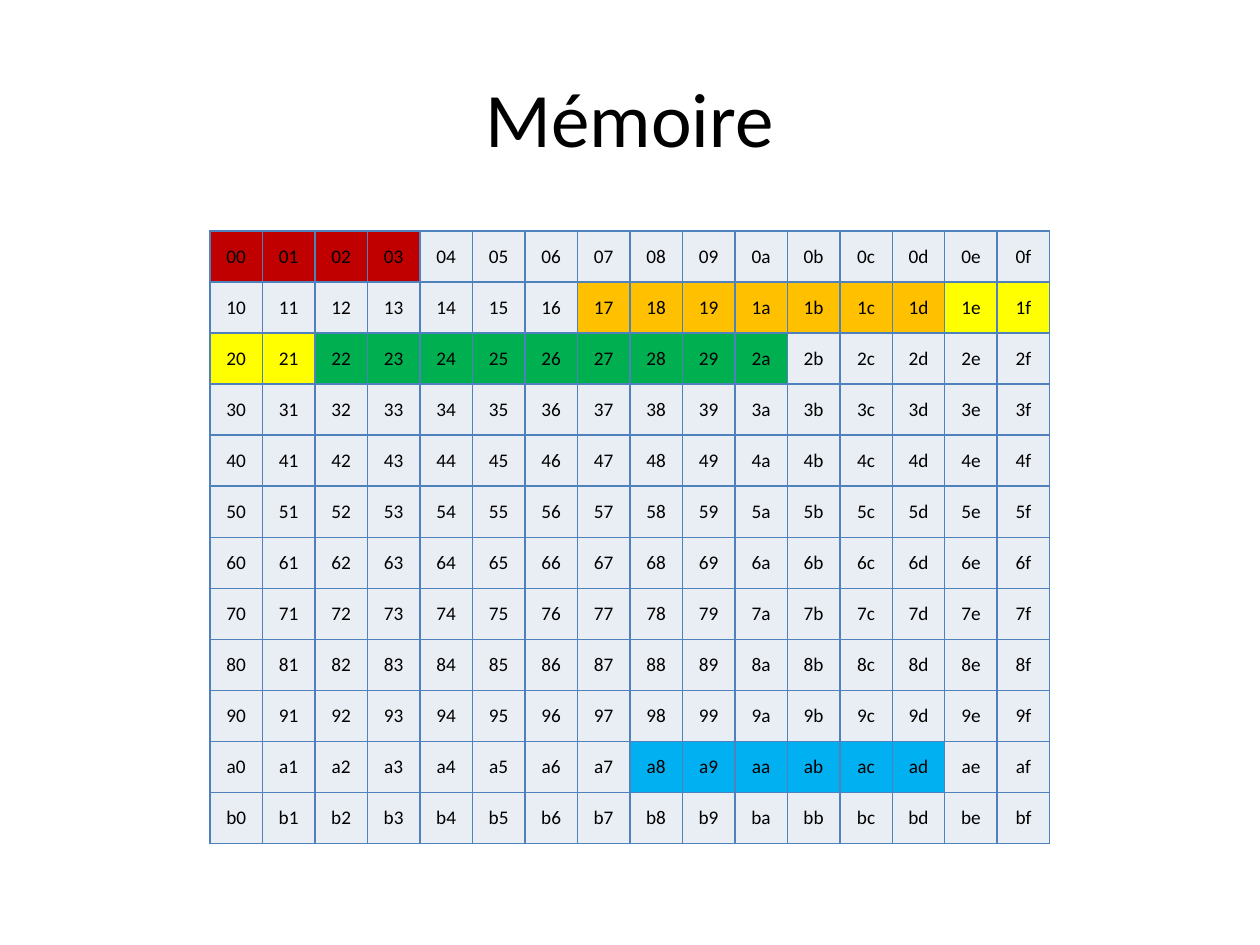
from dataclasses import dataclass

from lxml.etree import SubElement
from pptx import Presentation
from pptx.dml.color import RGBColor
from pptx.enum.text import MSO_ANCHOR as Anchor, PP_ALIGN as Align
from pptx.oxml.ns import qn
from pptx.util import Emu, Pt

EMU_PER_PX = 914400 / 126
FONT = "Calibri"
COLUMNS, ROWS = 16, 12
COLORS = {
    "text": "000000",
    "border": "4F81BD",
    "free": "E9EDF4",
    "red": "C00000",
    "orange": "FFC000",
    "yellow": "FFFF00",
    "green": "00B050",
    "blue": "00B0F0",
}


@dataclass(frozen=True)
class Box:
    left: int
    top: int
    width: int
    height: int

    def emu(self) -> tuple[Emu, ...]:
        return tuple(map(px, (self.left, self.top, self.width, self.height)))


@dataclass(frozen=True)
class Block:
    first: int
    last: int
    color: str


BLOCKS = (
    Block(0x00, 0x03, "red"),
    Block(0x17, 0x1D, "orange"),
    Block(0x1E, 0x21, "yellow"),
    Block(0x22, 0x2A, "green"),
    Block(0xA8, 0xAD, "blue"),
)


def px(length: float) -> Emu:
    return Emu(round(length * EMU_PER_PX))


def rgb(color: str) -> RGBColor:
    return RGBColor.from_string(COLORS[color])


def write(paragraph, text: str, size: int) -> None:
    paragraph.alignment = Align.CENTER
    run = paragraph.add_run()
    run.text = text
    run.font.name = FONT
    run.font.size = Pt(size)
    run.font.color.rgb = rgb("text")


def draw_title(slide, box: Box, text: str) -> None:
    frame = slide.shapes.add_textbox(*box.emu()).text_frame
    frame.word_wrap = True
    frame.vertical_anchor = Anchor.MIDDLE
    write(frame.paragraphs[0], text, 44)


def outline(cell) -> None:
    properties = cell._tc.get_or_add_tcPr()
    for side in ("a:lnL", "a:lnR", "a:lnT", "a:lnB"):
        line = SubElement(properties, qn(side), w=str(Pt(1)))
        fill = SubElement(line, qn("a:solidFill"))
        SubElement(fill, qn("a:srgbClr"), val=COLORS["border"])


def block_color(address: int) -> str:
    return next((b.color for b in BLOCKS if b.first <= address <= b.last), "free")


def draw_memory(slide, box: Box) -> None:
    memory = slide.shapes.add_table(ROWS, COLUMNS, *box.emu()).table
    memory.first_row = False
    memory.horz_banding = False
    for column in memory.columns:
        column.width = px(box.width / COLUMNS)
    for row in memory.rows:
        row.height = px(box.height / ROWS)
    for address, cell in enumerate(memory.iter_cells()):
        cell.vertical_anchor = Anchor.MIDDLE
        outline(cell)
        cell.fill.solid()
        cell.fill.fore_color.rgb = rgb(block_color(address))
        write(cell.text_frame.paragraphs[0], f"{address:02x}", 11)


def main() -> None:
    deck = Presentation()
    deck.slide_width, deck.slide_height = px(1260), px(945)
    slide = deck.slides.add_slide(deck.slide_layouts[6])
    draw_title(slide, Box(63, 38, 1134, 157), "Mémoire")
    draw_memory(slide, Box(210, 231, 840, 613))
    deck.save("out.pptx")


if __name__ == "__main__":
    main()
